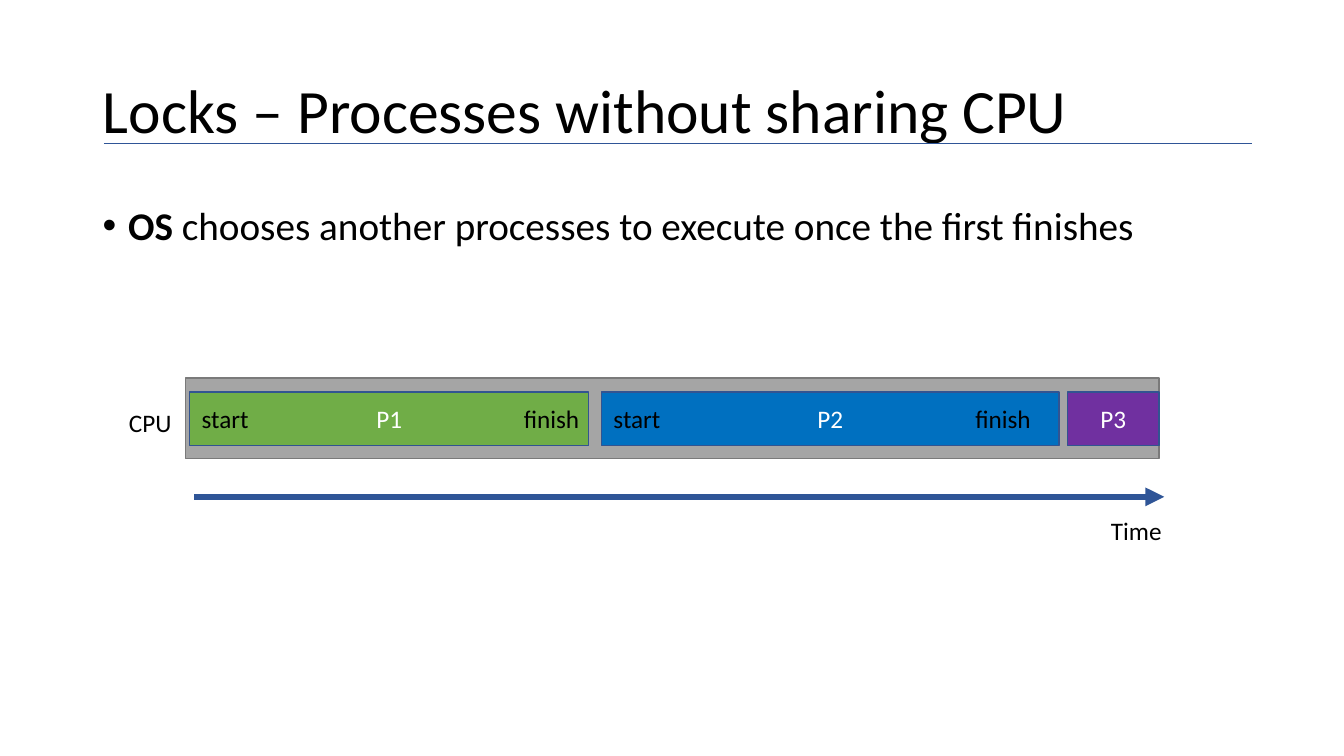
from pptx import Presentation
from pptx.dml.color import RGBColor
from pptx.enum.shapes import MSO_CONNECTOR, MSO_SHAPE
from pptx.enum.text import MSO_ANCHOR, MSO_AUTO_SIZE, PP_ALIGN
from pptx.oxml.ns import qn
from pptx.util import Cm, Pt
from lxml.etree import SubElement

FONT = "Calibri"
BLACK = "000000"
WHITE = "FFFFFF"
NAVY = "2F5597"
LABEL_HEIGHT = 1.02
PROCESSES = [
    ("P1", 0.11, 10.06, "70AD47", 8.17),
    ("P2", 10.49, 11.53, "0070C0", 9.17),
    ("P3", 22.23, 2.31, "7030A0", None),
]


def color(value):
    return RGBColor.from_string(value)


def place(shape, box):
    shape.left, shape.top, shape.width, shape.height = (Cm(length) for length in box)


def add_span(para, text, size, ink=BLACK, bold=False):
    span = para.add_run()
    span.text = text
    span.font.name = FONT
    span.font.size = Pt(size)
    span.font.bold = bold
    span.font.color.rgb = color(ink)


def add_label(page, box, text, align=PP_ALIGN.LEFT):
    label = page.shapes.add_textbox(*(Cm(length) for length in box))
    label.text_frame.word_wrap = True
    para = label.text_frame.paragraphs[0]
    para.alignment = align
    add_span(para, text, 18)


def add_bar(page, box, fill, outline, text=None):
    bar = page.shapes.add_shape(MSO_SHAPE.RECTANGLE, *(Cm(length) for length in box))
    bar.shadow.inherit = False
    bar.fill.solid()
    bar.fill.fore_color.rgb = color(fill)
    bar.line.color.rgb = color(outline)
    bar.line.width = Pt(1)
    if text:
        bar.text_frame.vertical_anchor = MSO_ANCHOR.MIDDLE
        para = bar.text_frame.paragraphs[0]
        para.alignment = PP_ALIGN.CENTER
        add_span(para, text, 18, WHITE)


def add_line(page, left, right, height, weight, arrow=False):
    line = page.shapes.add_connector(
        MSO_CONNECTOR.STRAIGHT, Cm(left), Cm(height), Cm(right), Cm(height)
    )
    line.line.color.rgb = color(NAVY)
    line.line.width = Pt(weight)
    if arrow:
        SubElement(line.line._get_or_add_ln(), qn("a:tailEnd"), type="triangle")
    SubElement(line._element.spPr, qn("a:effectLst"))


def add_heading(page, box):
    left, top, width, height = box
    title = page.shapes.title
    place(title, box)
    frame = title.text_frame
    frame.word_wrap = True
    frame.auto_size = MSO_AUTO_SIZE.NONE
    frame.vertical_anchor = MSO_ANCHOR.MIDDLE
    para = frame.paragraphs[0]
    para.alignment = PP_ALIGN.LEFT
    para.line_spacing = 0.9
    add_span(para, "Locks – Processes without sharing CPU", 44)
    add_line(page, left + 0.28, left + width, top + 2.59, 0.5)


def add_body(page, box):
    body = page.shapes.add_textbox(*(Cm(length) for length in box))
    body.text_frame.word_wrap = True
    para = body.text_frame.paragraphs[0]
    para.line_spacing = 0.9
    para.space_before = Pt(10)
    properties = para._p.get_or_add_pPr()
    properties.set("marL", str(Cm(0.64)))
    properties.set("indent", str(-Cm(0.64)))
    SubElement(properties, qn("a:buFont"), typeface="Arial")
    SubElement(properties, qn("a:buChar"), char="•")
    add_span(para, "OS", 28, bold=True)
    add_span(para, " chooses another processes to execute once the first finishes", 28)


def add_timeline(page, box):
    left, top, width, height = box
    add_bar(page, box, "A5A5A5", "7A7A7A")
    add_label(page, (left - 1.67, top + 0.6, 1.68, LABEL_HEIGHT), "CPU")
    for name, offset, length, fill, finish in PROCESSES:
        start = left + offset
        add_bar(page, (start, top + 0.35, length, 1.35), fill, "325491", name)
        if finish:
            for text, shift in (("start", 0.05), ("finish", finish)):
                add_label(page, (start + shift, top + 0.5, 2.41, LABEL_HEIGHT), text)
    add_line(page, left + 0.23, left + width + 0.13, top + height + 0.96, 4.5, True)
    time_box = (left + width - 3.05, top + height + 1.29, 4.95, LABEL_HEIGHT)
    add_label(page, time_box, "Time", PP_ALIGN.CENTER)


deck = Presentation()
deck.slide_width = Cm(33.87)
deck.slide_height = Cm(19.05)
page = deck.slides.add_slide(deck.slide_layouts[5])
add_heading(page, (2.34, 1.02, 29.21, 3.68))
add_timeline(page, (4.67, 9.53, 24.54, 2.03))
add_body(page, (2.34, 5.08, 29.21, 12.09))
deck.save("out.pptx")
